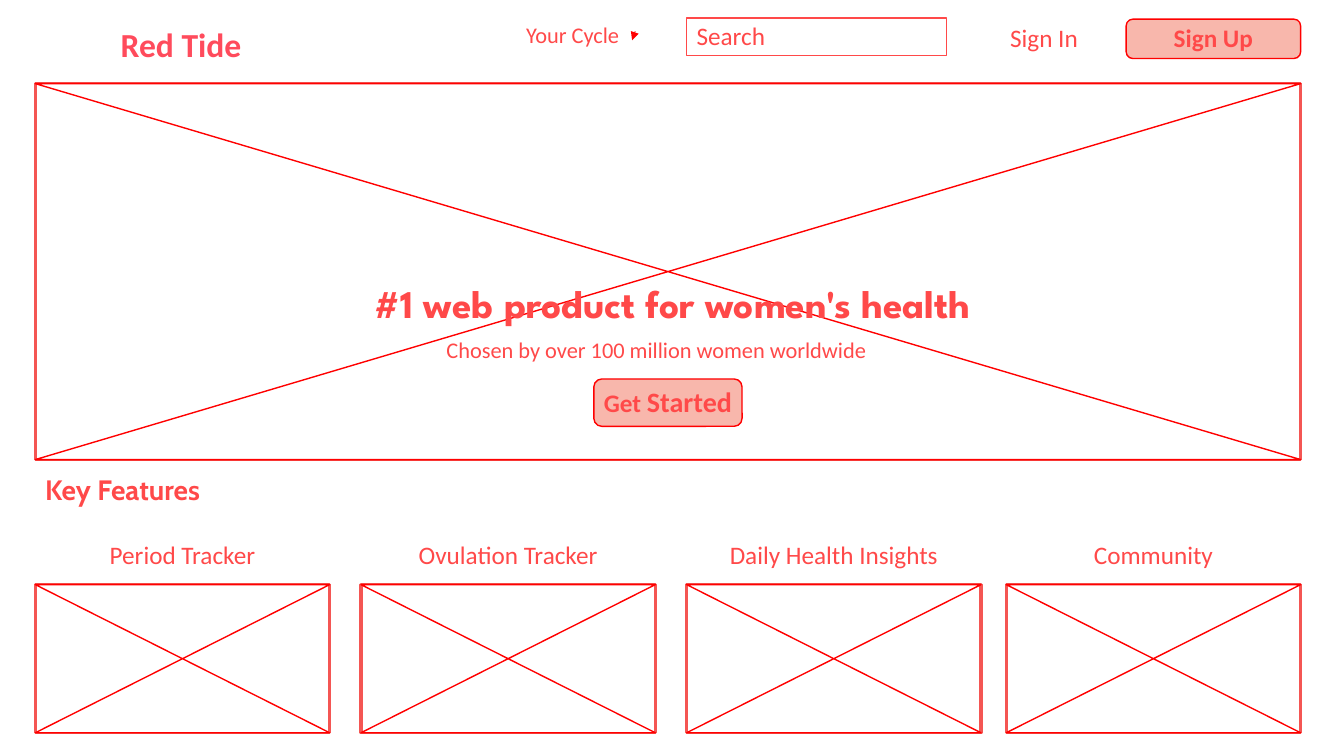
import dataclasses

import pptx
import pptx.dml.color
import pptx.enum.shapes
import pptx.enum.text
import pptx.oxml.ns
import pptx.util
from lxml import etree

PX = 9144  # EMU in one px, 100 px to the inch
SHAPES = pptx.enum.shapes.MSO_SHAPE
ALIGN = pptx.enum.text.PP_ALIGN
ANCHOR = pptx.enum.text.MSO_ANCHOR


@dataclasses.dataclass(frozen=True)
class Theme:
    paper: str = "FFFFFF"
    ink: str = "FF4949"
    brand: str = "FF4B5C"
    outline: str = "FF0000"
    frame: str = "F45653"
    button: str = "F8B7AC"
    body_font: str = "Calibri"
    section_font: str = "Cabin"
    headline_font: str = "League Spartan"
    small: int = 16
    label: int = 18
    section: int = 20
    logo: int = 24
    headline: int = 28


THEME = Theme()

TILE_WIDTH = 292
FEATURE_LEFTS = {
    "Period Tracker": 35,
    "Ovulation Tracker": 358,
    "Daily Health Insights": 681,
    "Community": 998,
}


def rgb(colour):
    return pptx.dml.color.RGBColor.from_string(colour)


def emu(*lengths):
    return [length * PX for length in lengths]


def format_runs(paragraph, size, bold=False, colour=THEME.ink, font=THEME.body_font):
    for run in paragraph.runs:
        run.font.name = font
        run.font.size = pptx.util.Pt(size)
        run.font.bold = bold
        run.font.color.rgb = rgb(colour)


def add_box(slide, kind, bounds, fill, line, weight=1):
    box = slide.shapes.add_shape(kind, *emu(*bounds))
    box.shadow.inherit = False
    box.fill.solid()
    box.fill.fore_color.rgb = rgb(fill)
    box.line.color.rgb = rgb(line)
    box.line.width = pptx.util.Pt(weight)
    return box


def add_image_slot(slide, bounds):
    """Draw a framed, crossed-out area that stands for an image."""
    add_box(slide, SHAPES.RECTANGLE, bounds, THEME.paper, THEME.frame, 2.25)
    add_box(slide, SHAPES.FLOWCHART_COLLATE, bounds, THEME.paper, THEME.outline)


def add_label(slide, text, bounds, size, align=ALIGN.LEFT, **style):
    frame = slide.shapes.add_textbox(*emu(*bounds)).text_frame
    frame.text = text
    frame.word_wrap = True
    frame.auto_size = pptx.enum.text.MSO_AUTO_SIZE.SHAPE_TO_FIT_TEXT
    frame.paragraphs[0].alignment = align
    format_runs(frame.paragraphs[0], size, **style)


def fill_caption(box, text, align=ALIGN.CENTER, bold=True):
    """Write one unwrapped line inside a button or field."""
    frame = box.text_frame
    frame.text = text
    frame.word_wrap = False
    frame.margin_top = 0
    frame.margin_bottom = 2 * PX
    frame.vertical_anchor = ANCHOR.MIDDLE
    frame.paragraphs[0].alignment = align
    format_runs(frame.paragraphs[0], THEME.label, bold)
    return frame.paragraphs[0]


def add_button(slide, text, bounds):
    button = add_box(slide, SHAPES.ROUNDED_RECTANGLE, bounds, THEME.button, THEME.outline)
    return fill_caption(button, text)


def add_menu_arrow(slide, start, end):
    arrow = slide.shapes.add_connector(
        pptx.enum.shapes.MSO_CONNECTOR.STRAIGHT, *emu(*start, *end))
    arrow.line.color.rgb = rgb(THEME.outline)
    arrow.line.width = pptx.util.Pt(0.5)
    qn = pptx.oxml.ns.qn
    etree.SubElement(arrow.line._get_or_add_ln(), qn("a:tailEnd"), type="triangle")
    etree.SubElement(arrow.element.spPr, qn("a:effectLst"))


def place_headline(slide, text, bounds):
    headline = slide.shapes.title
    headline.left, headline.top, headline.width, headline.height = emu(*bounds)
    frame = headline.text_frame
    frame.text = text
    frame.word_wrap = True
    frame.auto_size = pptx.enum.text.MSO_AUTO_SIZE.SHAPE_TO_FIT_TEXT
    frame.vertical_anchor = ANCHOR.TOP
    frame.paragraphs[0].alignment = ALIGN.CENTER
    format_runs(frame.paragraphs[0], THEME.headline, True, font=THEME.headline_font)
    # The title comes first in the layout; bring it in front of the hero image.
    headline.element.getparent().append(headline.element)


def add_navigation(slide):
    add_label(slide, "Red Tide", (95, 19, 169, 50), THEME.logo,
              align=ALIGN.CENTER, bold=True, colour=THEME.brand)
    add_label(slide, "Your Cycle", (512, 16, 116, 37), THEME.small)
    add_menu_arrow(slide, (630, 31), (627, 40))
    search = add_box(slide, SHAPES.RECTANGLE, (681, 18, 258, 37), THEME.paper, THEME.ink)
    fill_caption(search, "Search", ALIGN.LEFT, bold=False)
    add_label(slide, "Sign In", (992, 17, 92, 40), THEME.label)
    add_button(slide, "Sign Up", (1117, 19, 173, 39))


def add_hero(slide):
    add_image_slot(slide, (35, 83, 1255, 373))
    place_headline(slide, "#1 web product for women's health", (302, 272, 730, 57))
    add_label(slide, "Chosen by over 100 million women worldwide",
              (433, 329, 445, 37), THEME.small)
    call_to_action = add_button(slide, "Get ", (589, 376, 147, 47))
    call_to_action.add_run().text = "Started"
    format_runs(call_to_action, THEME.label, bold=True)
    call_to_action.runs[1].font.size = pptx.util.Pt(THEME.section)


def add_features(slide):
    add_label(slide, "Key Features", (35, 464, 229, 44), THEME.section,
              bold=True, font=THEME.section_font)
    for feature, left in FEATURE_LEFTS.items():
        add_image_slot(slide, (left, 580, TILE_WIDTH, 147))
        add_label(slide, feature, (left, 530, TILE_WIDTH, 40), THEME.label,
                  align=ALIGN.CENTER)


def main():
    deck = pptx.Presentation()
    deck.slide_width, deck.slide_height = emu(1333, 750)
    slide = deck.slides.add_slide(deck.slide_layouts.get_by_name("Title Only"))
    slide.background.fill.solid()
    slide.background.fill.fore_color.rgb = rgb(THEME.paper)
    add_navigation(slide)
    add_hero(slide)
    add_features(slide)
    deck.save("out.pptx")


if __name__ == "__main__":
    main()
